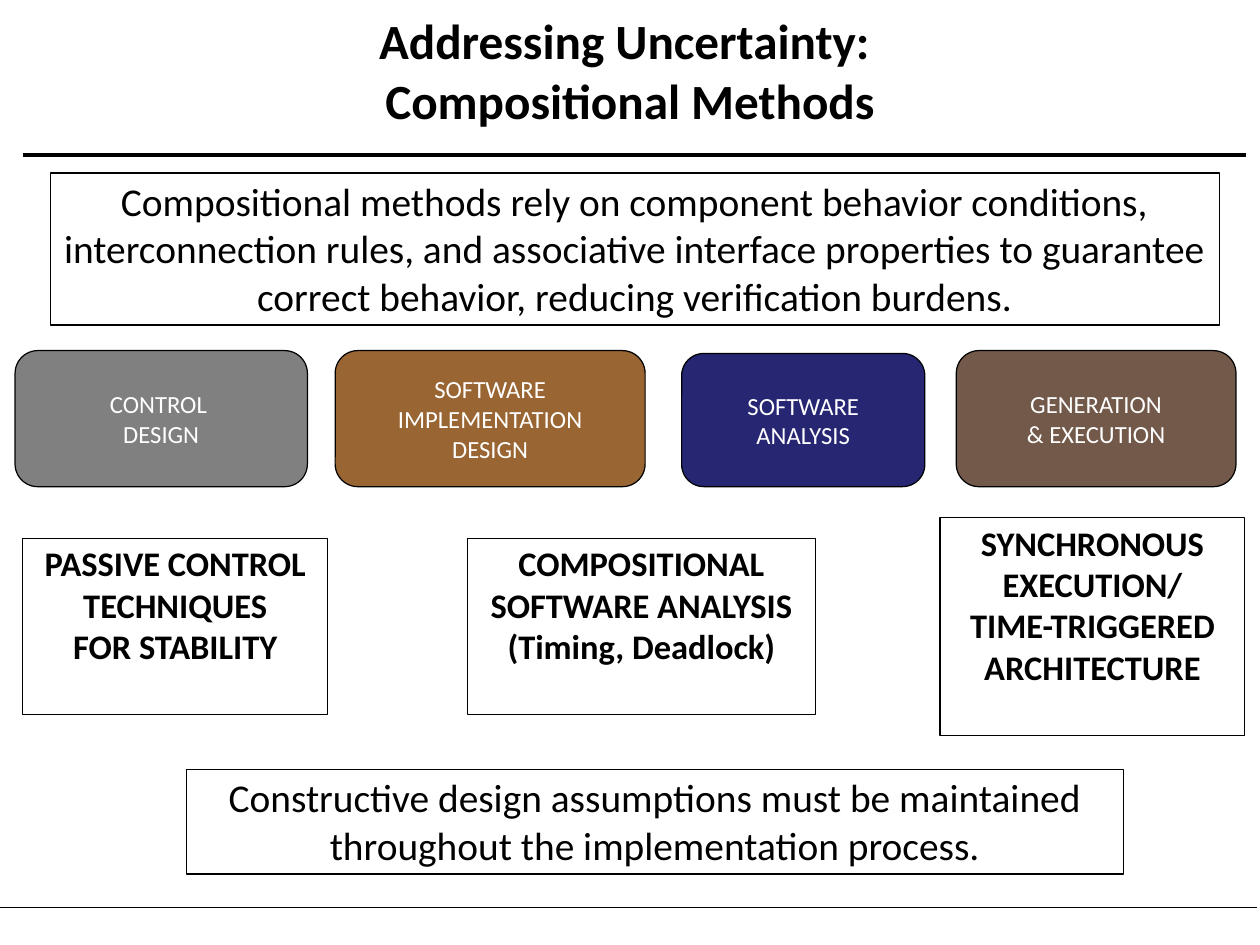
from dataclasses import dataclass

from pptx import Presentation
from pptx.dml.color import RGBColor as RGB
from pptx.enum.shapes import MSO_CONNECTOR as CONN, MSO_SHAPE as SHAPE
from pptx.enum.text import MSO_ANCHOR as ANCHOR, PP_ALIGN as ALIGN
from pptx.oxml.ns import qn
from pptx.util import Inches, Pt


@dataclass(frozen=True)
class Theme:
    font: str = "Calibri"
    ink: str = "000000"
    paper: str = "FFFFFF"
    control: str = "808080"
    implementation: str = "996633"
    analysis: str = "262673"
    execution: str = "72594A"
    title: int = 40
    statement: int = 32
    method: int = 28
    phase: int = 20


theme = Theme()
prs = Presentation()
prs.slide_width, prs.slide_height = Inches(14.22), Inches(10.67)
s = prs.slides.add_slide(prs.slide_layouts[6])

# Lengths are counted on a grid of 100 columns by 100 rows
col, row = prs.slide_width / 100, prs.slide_height / 100


def write(sp, lines, size, color, bold=False, anchor=ANCHOR.TOP):
    """Fill a shape with centred paragraphs of one style."""
    tf = sp.text_frame
    tf.word_wrap = True
    tf.vertical_anchor = anchor
    tf.text = "\n".join(lines)
    for p in tf.paragraphs:
        p.alignment = ALIGN.CENTER
        p.font.name, p.font.size, p.font.bold = theme.font, Pt(size), bold
        p.font.color.rgb = RGB.from_string(color)


def add_box(kind, x, y, w, h, fill):
    sp = s.shapes.add_shape(kind, int(x * col), int(y * row), int(w * col), int(h * row))
    sp.shadow.inherit = False
    sp.fill.solid()
    sp.fill.fore_color.rgb = RGB.from_string(fill)
    sp.line.color.rgb = RGB.from_string(theme.ink)
    sp.line.width = Pt(1)
    return sp


# Rules under the title and at the foot
for left, right, y, weight in [(1.8, 98.9, 16.4, 3), (0, 99.8, 96, 1)]:
    rule = s.shapes.add_connector(CONN.STRAIGHT, int(left * col), int(y * row),
                                  int(right * col), int(y * row))
    rule.line.color.rgb = RGB.from_string(theme.ink)
    rule.line.width = Pt(weight)
    rule._element.spPr.append(rule._element.makeelement(qn("a:effectLst"), {}))

# Title
title = s.shapes.add_textbox(int(7 * col), int(1 * row), int(86 * col), int(13.1 * row))
write(title, ["Addressing Uncertainty: ", "Compositional Methods"],
      theme.title, theme.ink, bold=True, anchor=ANCHOR.BOTTOM)

# Development phases, all standing on the same row
phase_bottom = 51.5
phases = [
    (1.2, 23.2, 14.4, theme.control, ["CONTROL ", "DESIGN"]),
    (26.6, 24.6, 14.4, theme.implementation, ["SOFTWARE", "IMPLEMENTATION", "DESIGN"]),
    (54.1, 19.3, 14.1, theme.analysis, ["SOFTWARE", "ANALYSIS"]),
    (75.9, 22.2, 14.4, theme.execution, ["GENERATION", "& EXECUTION"]),
]
for x, w, h, fill, lines in phases:
    sp = add_box(SHAPE.ROUNDED_RECTANGLE, x, phase_bottom - h, w, h, fill)
    write(sp, lines, theme.phase, theme.paper, anchor=ANCHOR.MIDDLE)

# Methods, centred on a common row
method_middle = 66.3
methods = [
    (1.8, 24.2, 18.7, ["PASSIVE CONTROL", "TECHNIQUES", "FOR STABILITY"]),
    (37.1, 27.6, 18.7, ["COMPOSITIONAL", "SOFTWARE ANALYSIS", "(Timing, Deadlock)"]),
    (74.6, 24.2, 23.1, ["SYNCHRONOUS EXECUTION/", "TIME-TRIGGERED", "ARCHITECTURE"]),
]
for x, w, h, lines in methods:
    sp = add_box(SHAPE.RECTANGLE, x, method_middle - h / 2, w, h, theme.paper)
    write(sp, lines, theme.method, theme.ink, bold=True)

# Opening and closing statements
statements = [
    (4, 18.3, 92.8, 16.1,
     "Compositional methods rely on component behavior conditions, interconnection rules, "
     "and associative interface properties to guarantee correct behavior, "
     "reducing verification burdens."),
    (14.8, 81.4, 74.4, 11.1,
     "Constructive design assumptions must be maintained "
     "throughout the implementation process."),
]
for x, y, w, h, text in statements:
    sp = add_box(SHAPE.RECTANGLE, x, y, w, h, theme.paper)
    write(sp, [text], theme.statement, theme.ink)

prs.save("out.pptx")
